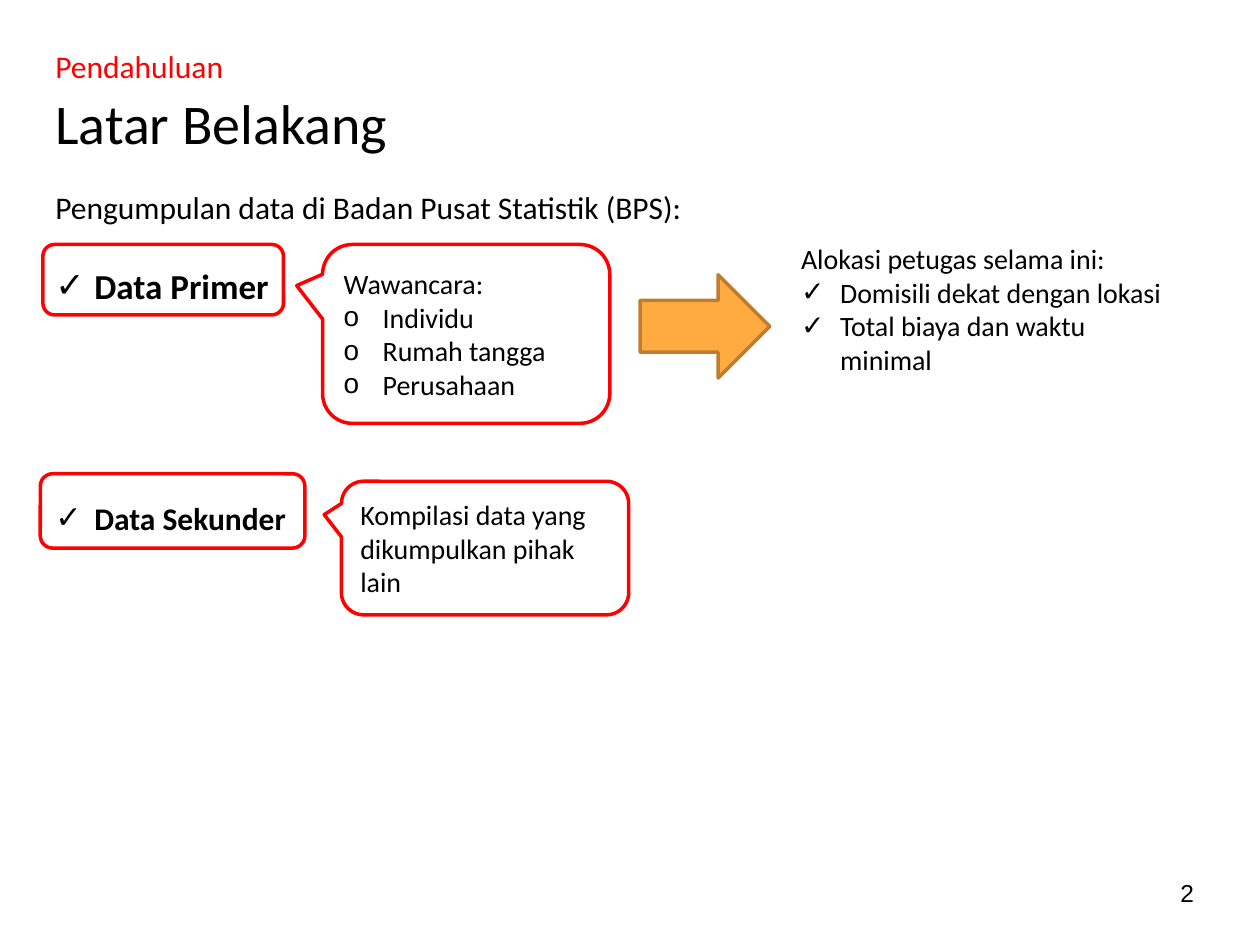
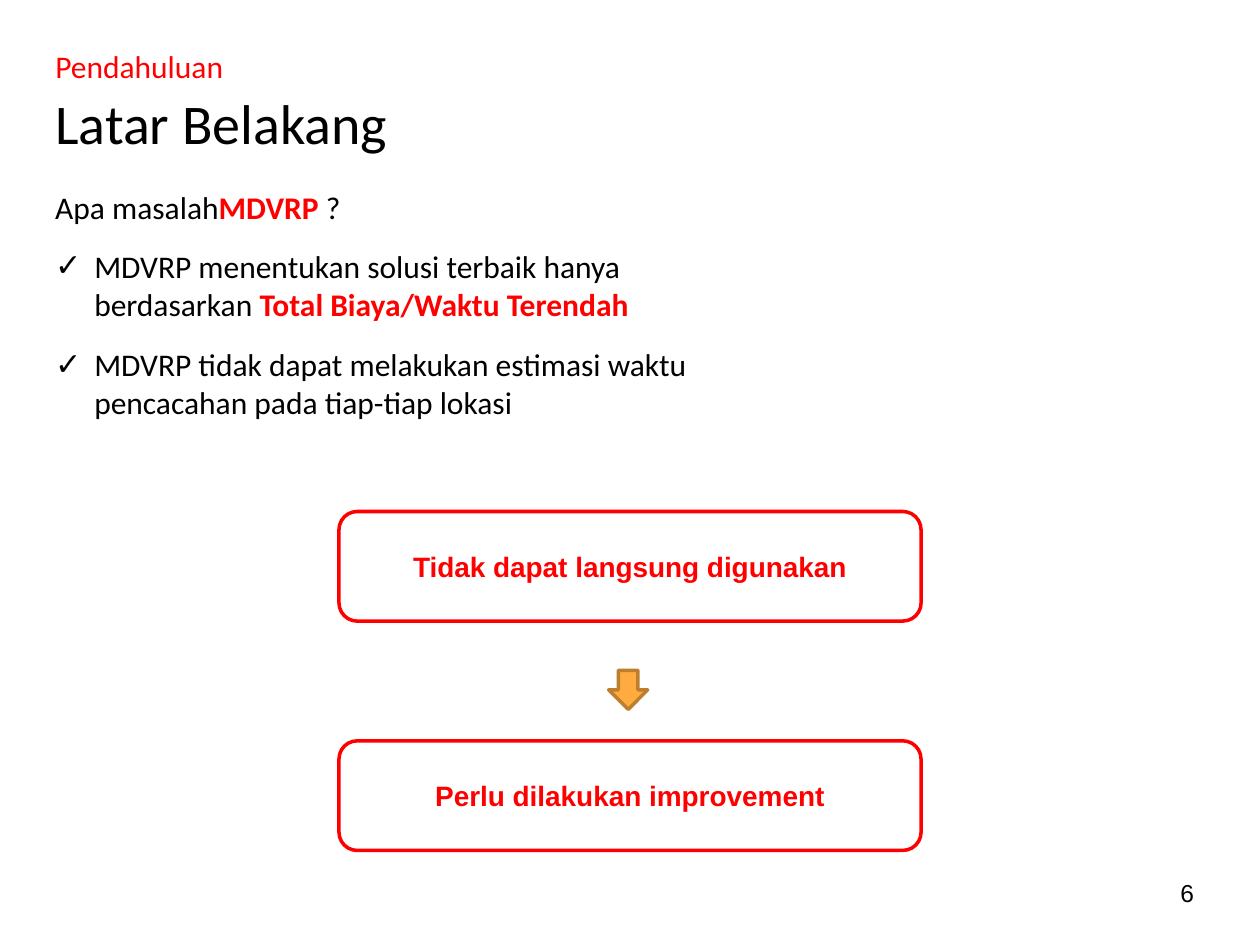
from dataclasses import dataclass

from lxml.etree import SubElement
from pptx import Presentation
from pptx.dml.color import RGBColor
from pptx.enum.shapes import MSO_SHAPE as Shape
from pptx.enum.text import MSO_ANCHOR as Anchor, PP_ALIGN as Align
from pptx.oxml.ns import qn
from pptx.util import Inches, Pt


@dataclass(frozen=True)
class Theme:
    ink: str = "000000"
    accent: str = "FF0000"
    paper: str = "FFFFFF"
    arrow: str = "FFAB40"
    arrow_edge: str = "BD7F2F"
    font: str = "Calibri"
    plain_font: str = "Arial"
    title: int = 32
    lead: int = 20
    body: int = 18
    note: int = 16
    number: int = 14
    outline: int = 2
    indent: float = 0.31
    margin: float = 0.34
    inset: float = 0.1


THEME = Theme()
CHECK = "✓"


def add_bullet(para, mark, font):
    """Give the paragraph a bullet mark with a hanging indent."""
    indent = Inches(THEME.indent)
    properties = para._p.get_or_add_pPr()
    properties.set("marL", str(indent))
    properties.set("indent", str(-indent))
    SubElement(properties, qn("a:buFont"), typeface=font)
    SubElement(properties, qn("a:buChar"), char=mark)


def write(frame, text, *, size=THEME.body, font=THEME.font, color=THEME.ink,
          bold=False, bullet=None, align=Align.LEFT, before=0):
    """Add a paragraph; text is a string or a list of (string, highlighted)."""
    para = frame.paragraphs[0]
    if para.runs:
        para = frame.add_paragraph()
    para.alignment = align
    para.space_before = Pt(before)
    if bullet:
        add_bullet(para, bullet, THEME.plain_font)
    for words, highlighted in [(text, False)] if isinstance(text, str) else text:
        span = para.add_run()
        span.text = words
        span.font.size = Pt(size)
        span.font.name = font
        span.font.bold = bold or highlighted
        span.font.color.rgb = RGBColor.from_string(
            THEME.accent if highlighted else color)


class SlideBuilder:
    def __init__(self, deck):
        self.deck = deck
        self.page = None

    def new_page(self, number):
        """Start a slide with its section, title and page number."""
        self.page = self.deck.slides.add_slide(self.deck.slide_layouts[6])
        write(self.text_box(THEME.margin, 0.6, 9.28, 0.79),
              "Latar Belakang", size=THEME.title)
        write(self.text_box(THEME.margin, 0.27, 4.02, 0.49),
              "Pendahuluan", color=THEME.accent)
        write(self.text_box(9.27, 6.8, 0.6, 0.57, anchor=Anchor.MIDDLE),
              str(number), size=THEME.number, font=THEME.plain_font)

    def text_box(self, left, top, width, height, anchor=Anchor.TOP,
                 inset=THEME.inset):
        box = self.page.shapes.add_textbox(
            *map(Inches, (left, top, width, height)))
        frame = box.text_frame
        frame.word_wrap = True
        frame.vertical_anchor = anchor
        frame.margin_top = frame.margin_bottom = Inches(inset)
        return frame

    def shape(self, kind, left, top, width, height, fill=None,
              line=THEME.accent):
        shape = self.page.shapes.add_shape(
            kind, *map(Inches, (left, top, width, height)))
        shape.shadow.inherit = False
        if fill:
            shape.fill.solid()
            shape.fill.fore_color.rgb = RGBColor.from_string(fill)
        else:
            shape.fill.background()
        shape.line.color.rgb = RGBColor.from_string(line)
        shape.line.width = Pt(THEME.outline)
        return shape

    def frame(self, left, top, width, height):
        """Draw a rounded outline and return its text frame."""
        return self.shape(Shape.ROUNDED_RECTANGLE,
                          left, top, width, height).text_frame

    def callout(self, left, top, width, height, tip_x, tip_y):
        """Draw a speech bubble; the tip is a share of its size from the centre."""
        bubble = self.shape(Shape.ROUNDED_RECTANGULAR_CALLOUT,
                            left, top, width, height, fill=THEME.paper)
        bubble.adjustments[0] = tip_x
        bubble.adjustments[1] = tip_y
        return bubble.text_frame

    def arrow(self, left, top, width, height, rotation=0):
        arrow = self.shape(Shape.RIGHT_ARROW, left, top, width, height,
                           fill=THEME.arrow, line=THEME.arrow_edge)
        arrow.rotation = rotation


def build_data_sources(builder):
    builder.new_page(2)
    body = builder.text_box(THEME.margin, 1.39, 9.28, 4.37)
    write(body, "Pengumpulan data di Badan Pusat Statistik (BPS):")
    write(body, "Data Primer", size=THEME.lead, bold=True, bullet=CHECK,
          before=22)
    write(body, "Data Sekunder", bold=True, bullet=CHECK, before=110)

    interview = builder.callout(2.56, 1.94, 2.28, 1.42, -0.59, -0.27)
    write(interview, "Wawancara:", size=THEME.note)
    for source in ("Individu", "Rumah tangga", "Perusahaan"):
        write(interview, source, size=THEME.note, bullet="o")
    compilation = builder.callout(2.71, 3.82, 2.28, 1.06, -0.56, -0.25)
    write(compilation, "Kompilasi data yang dikumpulkan pihak lain",
          size=THEME.note)

    builder.frame(0.34, 1.94, 1.91, 0.56)
    builder.frame(0.32, 3.76, 2.1, 0.59)
    builder.arrow(5.08, 2.18, 1.03, 0.82)

    allocation = builder.text_box(6.26, 1.87, 3.13, 1.18, inset=0.05)
    write(allocation, "Alokasi petugas selama ini:", size=THEME.note)
    for rule in ("Domisili dekat dengan lokasi", "Total biaya dan waktu minimal"):
        write(allocation, rule, size=THEME.note, bullet=CHECK)


def build_problem(builder):
    builder.new_page(6)
    width, point_height = 5.76, 0.78
    write(builder.text_box(THEME.margin, 1.39, width, 0.47),
          [("Apa masalah", False), ("MDVRP ", True), ("?", False)])
    points = (
        [("MDVRP menentukan solusi terbaik hanya berdasarkan ", False),
         ("Total Biaya/Waktu Terendah", True)],
        "MDVRP tidak dapat melakukan estimasi waktu pencacahan "
        "pada tiap-tiap lokasi",
    )
    for index, point in enumerate(points):
        write(builder.text_box(THEME.margin, 1.86 + index * point_height,
                               width, point_height), point, bullet=CHECK)

    conclusions = ((4.06, "Tidak dapat langsung digunakan"),
                   (5.88, "Perlu dilakukan improvement"))
    for top, conclusion in conclusions:
        write(builder.frame(2.69, top, 4.62, 0.87), conclusion,
              size=THEME.note, font=THEME.plain_font, color=THEME.accent,
              bold=True, align=Align.CENTER)
    builder.arrow(4.83, 5.32, 0.31, 0.31, rotation=90)


def main():
    deck = Presentation()
    deck.slide_width, deck.slide_height = Inches(10), Inches(7.5)
    builder = SlideBuilder(deck)
    build_data_sources(builder)
    build_problem(builder)
    deck.save("out.pptx")


if __name__ == "__main__":
    main()
